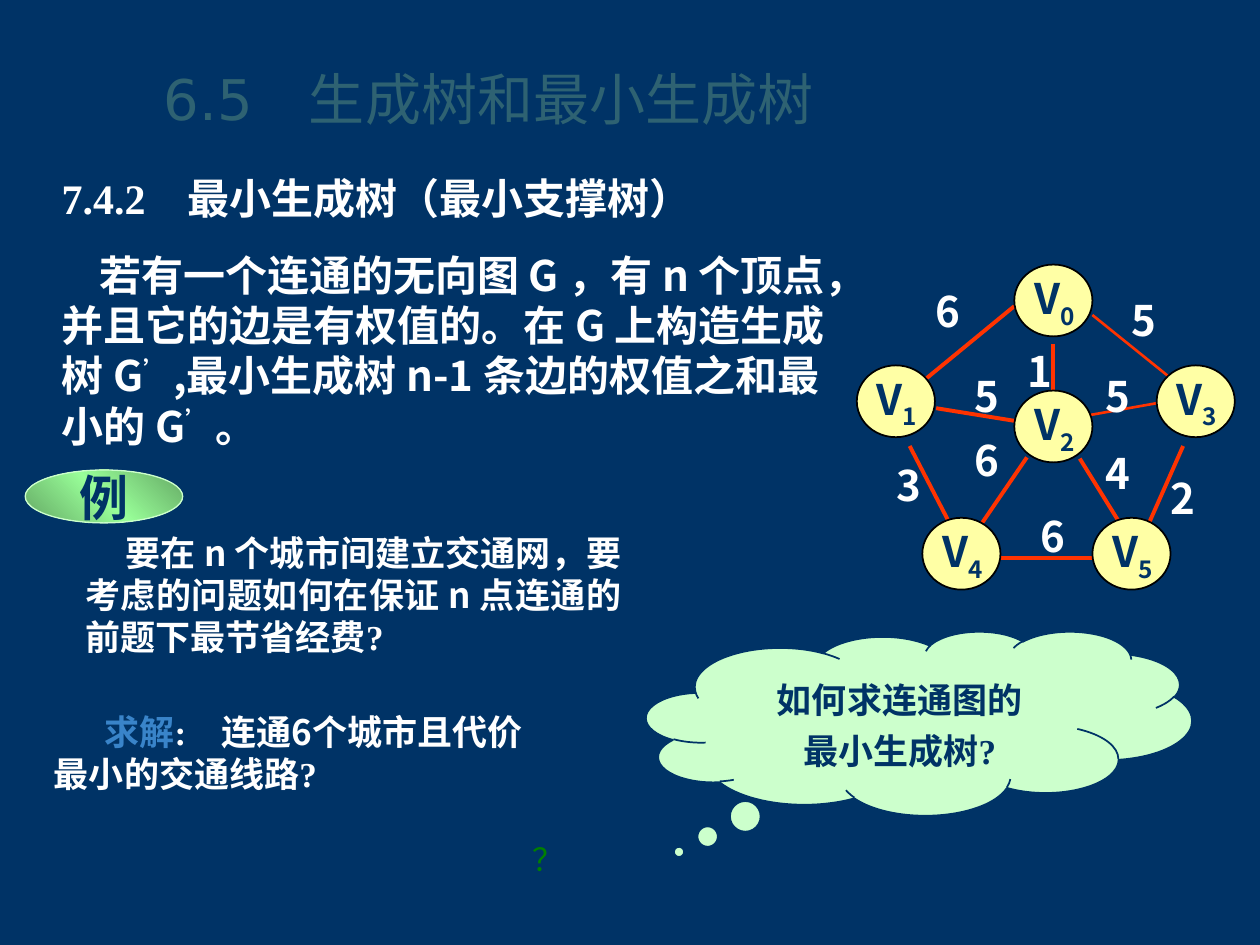
from lxml import etree
from pptx import Presentation
from pptx import util as u
from pptx.dml.color import RGBColor
from pptx.enum import shapes, text
from pptx.oxml import parse_xml
from pptx.oxml.ns import nsdecls, qn

NAVY = RGBColor(0x00, 0x33, 0x66)
WHITE = RGBColor(0xFF, 0xFF, 0xFF)
BLACK = RGBColor(0x00, 0x00, 0x00)
RED = RGBColor(0xFF, 0x33, 0x00)
YELLOW = RGBColor(0xFF, 0xFF, 0xA5)
MINT = RGBColor(0xCC, 0xFF, 0xCC)
BLUE = RGBColor(0x39, 0x84, 0xC9)
GREEN = RGBColor(0x00, 0x80, 0x00)
TEAL = RGBColor(0x2E, 0x62, 0x72)
TIMES, NOTO, DEJAVU = "Times New Roman", "Noto Sans CJK SC", "DejaVu Sans"
LEFT, CENTER, JUSTIFY = text.PP_ALIGN.LEFT, text.PP_ALIGN.CENTER, text.PP_ALIGN.JUSTIFY


def add_text(p, content, size=24, font=NOTO, color=WHITE, bold=True, base=0):
    r = p.add_run()
    r.text = content
    f = r.font
    f.size, f.name, f.bold = u.Pt(size), font, bold
    f.color.rgb = color
    rPr = r._r.get_or_add_rPr()
    etree.SubElement(rPr, qn("a:ea")).set("typeface", NOTO)
    if base:
        rPr.set("baseline", str(base * 1000))


def add_box(x, y, w, h, align=LEFT, size=24, indent=0):
    tf = s.shapes.add_textbox(u.Inches(x), u.Inches(y), u.Inches(w), u.Inches(h)).text_frame
    tf.word_wrap = True
    p = tf.paragraphs[0]
    p.alignment = align
    p.line_spacing = u.Pt(1.2 * size)
    if indent:
        p._p.get_or_add_pPr().set("indent", str(u.Inches(indent)))
    return tf


prs = Presentation()
prs.slide_width, prs.slide_height = u.Inches(10), u.Inches(7.5)
s = prs.slides.add_slide(prs.slide_layouts[5])
s.background.fill.solid()
s.background.fill.fore_color.rgb = NAVY

title = s.shapes.title
title.left, title.top, title.width, title.height = map(u.Inches, (1.2, 0.65, 5.94, 0.25))
tf = title.text_frame
tf.vertical_anchor = text.MSO_ANCHOR.MIDDLE
tf.auto_size = text.MSO_AUTO_SIZE.NONE
p = tf.paragraphs[0]
p.alignment = LEFT
add_text(p, "6.5　生成树和最小生成树", size=32, font=DEJAVU, color=TEAL, bold=False)

p = add_box(0.58, 4.17, 4.45, 1.1, JUSTIFY, 20, 0.32).paragraphs[0]
for content, font in [
    ("要在 ", TIMES), ("n ", NOTO),
    ("个城市间建立交通网，要考虑的问题如何在保证 ", TIMES), ("n ", NOTO),
    ("点连通的前题下最节省经费?", TIMES),
]:
    add_text(p, content, size=20, font=font)

edges = [
    (8.05, 2.43, 7.32, 3.03, 2.25),
    (7.22, 3.54, 7.53, 4.14, 2.25),
    (9.39, 3.54, 9.08, 4.24, 2.25),
    (7.94, 4.43, 8.67, 4.43, 2.25),
    (8.36, 2.73, 8.36, 3.14, 2.25),
    (8.15, 3.63, 7.74, 4.23, 2.25),
    (8.57, 3.64, 8.88, 4.14, 2.25),
    (7.43, 3.24, 8.05, 3.34, 2.25),
    (8.67, 2.5, 9.29, 3, 1.5),
    (9.18, 3.2, 8.56, 3.31, 1.5),
]
for *ends, width in edges:
    c = s.shapes.add_connector(shapes.MSO_CONNECTOR.STRAIGHT, *map(u.Inches, ends))
    c.line.color.rgb = RED
    c.line.width = u.Pt(width)
    etree.SubElement(c._element.spPr, qn("a:effectLst"))

vertices = [("2", 8.05, 3.1), ("0", 8.05, 2.1), ("3", 9.18, 2.9),
            ("5", 8.67, 4.11), ("4", 7.32, 4.11), ("1", 6.8, 2.9)]
for number, x, y in vertices:
    sp = s.shapes.add_shape(shapes.MSO_SHAPE.OVAL, u.Inches(x), u.Inches(y), u.Inches(0.62), u.Inches(0.57))
    sp.shadow.inherit = False
    sp.fill.solid()
    sp.fill.fore_color.rgb = YELLOW
    sp.line.color.rgb = BLACK
    sp.line.width = u.Pt(1)
    p = add_box(x + 0.06, y + 0.07, 0.55, 0.56).paragraphs[0]
    add_text(p, "V", color=NAVY)
    add_text(p, number, color=NAVY, base=-25)

weights = [("3", 7.01, 3.58), ("6", 7.32, 2.2), ("5", 8.87, 2.27), ("2", 9.18, 3.68),
           ("1", 8.05, 2.67), ("6", 7.63, 3.38), ("5", 8.67, 2.87), ("5", 7.63, 2.87),
           ("4", 8.67, 3.48), ("6", 8.15, 3.98)]
for weight, x, y in weights:
    add_text(add_box(x, y + 0.02, 0.41, 0.5, CENTER).paragraphs[0], weight)

sp = s.shapes.add_shape(shapes.MSO_SHAPE.OVAL, u.Inches(0.2), u.Inches(3.73), u.Inches(1.25), u.Inches(0.42))
sp._element.spPr.insert(2, parse_xml(
    f'<a:gradFill {nsdecls("a")} rotWithShape="1"><a:gsLst>'
    '<a:gs pos="0"><a:srgbClr val="64A764"/></a:gs>'
    '<a:gs pos="50000"><a:srgbClr val="99FF99"/></a:gs>'
    '<a:gs pos="100000"><a:srgbClr val="64A764"/></a:gs>'
    '</a:gsLst><a:lin ang="8100000" scaled="1"/></a:gradFill>'))
sp.shadow.inherit = False
sp.line.color.rgb = MINT
sp.line.width = u.Pt(0.75)
tf = sp.text_frame
tf.word_wrap = False
tf.vertical_anchor = text.MSO_ANCHOR.MIDDLE
tf.paragraphs[0].alignment = CENTER
add_text(tf.paragraphs[0], "例", size=28, font=TIMES, color=NAVY)

p = add_box(0.33, 5.59, 3.92, 0.75, JUSTIFY, 20, 0.4).paragraphs[0]
add_text(p, "求解", size=20, font=TIMES, color=BLUE)
add_text(p, ":　连通", size=20, font=TIMES)
add_text(p, "6", size=20)
add_text(p, "个城市且代价最小的交通线路?", size=20, font=TIMES)

sp = s.shapes.add_shape(shapes.MSO_SHAPE.CLOUD_CALLOUT, u.Inches(5.13), u.Inches(5.01),
                        u.Inches(4.33), u.Inches(1.46))
sp.adjustments[0], sp.adjustments[1] = -0.44, 0.7
sp.shadow.inherit = False
sp.fill.solid()
sp.fill.fore_color.rgb = MINT
sp.line.color.rgb = NAVY
sp.line.width = u.Pt(1)
tf = sp.text_frame
tf.word_wrap = False
tf.vertical_anchor = text.MSO_ANCHOR.MIDDLE
tf.margin_top = u.Inches(0.15)
for i, content in enumerate(["如何求连通图的", "最小生成树?"]):
    p = tf.add_paragraph() if i else tf.paragraphs[0]
    p.alignment = CENTER
    p.line_spacing = u.Pt(24)
    p.space_before = u.Pt(5 * i)
    add_text(p, content, size=20, font=TIMES, color=NAVY)

tf = add_box(4.13, 6.62, 1.17, 0.44, size=18)
tf.word_wrap = False
add_text(tf.paragraphs[0], "？", size=18, color=GREEN, bold=False)

tf = add_box(0.39, 1.32, 6.54, 2.31)
add_text(tf.paragraphs[0], "7.4.2　", font=TIMES)
add_text(tf.paragraphs[0], "最小生成树（最小支撑树）")
p = tf.add_paragraph()
p._p.get_or_add_pPr().set("indent", str(u.Inches(0.3)))
p.line_spacing = u.Pt(28.8)
p.space_before = u.Pt(15)
for content, base in [
    ("若有一个连通的无向图 G ，有 n 个顶点，并且它的边是有权值的。在 G 上构造生成树 G", 0),
    ("’ ", 30), (",最小生成树 n-1 条边的权值之和最小的 G", 0), ("’ ", 30), ("。", 0),
]:
    add_text(p, content, base=base)

prs.save("out.pptx")
